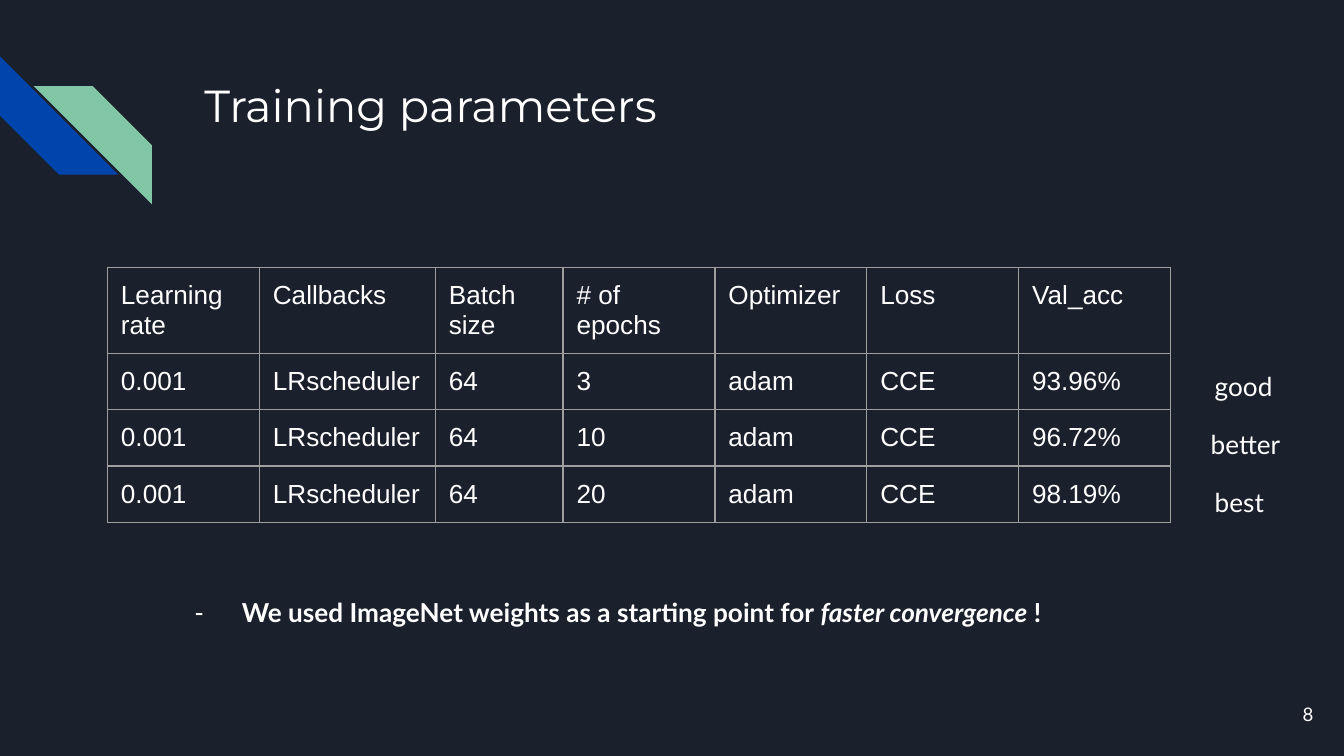
from lxml.etree import SubElement
from pptx import Presentation
from pptx.dml.color import RGBColor
from pptx.enum.shapes import MSO_SHAPE as Shape
from pptx.enum.text import MSO_ANCHOR as Anchor, PP_ALIGN as Align
from pptx.oxml.ns import qn
from pptx.util import Inches, Pt

WIDTH = 10
HEIGHT = WIDTH * 9 / 16
WHITE, NAVY, BLUE, GREEN, GREY = "FFFFFF", "1B212C", "0145AC", "82C7A5", "9E9E9E"

TITLE = "Training parameters"
HEADERS = ["Learning rate", "Callbacks", "Batch size", "# of epochs", "Optimizer", "Loss", "Val_acc"]
RUNS = [("3", "93.96%"), ("10", "96.72%"), ("20", "98.19%")]
ROWS = [HEADERS] + [["0.001", "LRscheduler", "64", epochs, "adam", "CCE", accuracy]
                    for epochs, accuracy in RUNS]
COLUMN_WIDTHS = [1.13, 1.31, 0.95] + [1.13] * 4
ROW_HEIGHTS = [0.6] + [0.42] * len(RUNS)
RATINGS = [("good", 8.94, 0.96), ("better", 8.91, 0.78), ("best", 8.94, 0.63)]
RATING_TOP, RATING_STEP = 2.66, 0.43
NOTE = [("We used ImageNet weights as a starting point for ", False),
        ("faster convergence", True), (" !", False)]
PAGE_NUMBER = "8"
STRIPES = [(0, 0.42, BLUE, 270, False), (0.25, 0.64, GREEN, 0, True)]
STRIPE_SIZE = 0.88


def color(value):
    return RGBColor.from_string(value)


def style(para, name, size):
    para.font.name = name
    para.font.size = Pt(size)
    para.font.color.rgb = color(WHITE)


def place(shape, left, top, width, height):
    shape.left, shape.top = Inches(left), Inches(top)
    shape.width, shape.height = Inches(width), Inches(height)
    frame = shape.text_frame
    frame.word_wrap = True
    frame.vertical_anchor = Anchor.TOP
    frame.margin_left = frame.margin_right = Inches(0.1)
    frame.margin_top = frame.margin_bottom = Inches(0.1)


def add_label(page, text, left, top, width, height, size=14):
    box = page.shapes.add_textbox(0, 0, 0, 0)
    place(box, left, top, width, height)
    para = box.text_frame.paragraphs[0]
    para.text = text
    style(para, "Lato", size)
    return box


def add_stripe(page, left, top, fill, rotation, flipped):
    stripe = page.shapes.add_shape(Shape.DIAGONAL_STRIPE, Inches(left), Inches(top),
                                   Inches(STRIPE_SIZE), Inches(STRIPE_SIZE))
    stripe.shadow.inherit = False
    stripe.fill.solid()
    stripe.fill.fore_color.rgb = color(fill)
    stripe.line.fill.background()
    stripe.rotation = rotation
    if flipped:
        stripe.element.spPr.xfrm.set("flipH", "1")


def set_borders(cell):
    properties = cell._tc.get_or_add_tcPr()
    for side in ("lnL", "lnR", "lnT", "lnB"):
        line = SubElement(properties, qn(f"a:{side}"), w=str(Pt(0.75)))
        fill = SubElement(line, qn("a:solidFill"))
        SubElement(fill, qn("a:srgbClr"), val=GREY)


def add_parameters(page):
    table = page.shapes.add_table(len(ROWS), len(HEADERS), Inches(0.8), Inches(1.99),
                                  Inches(sum(COLUMN_WIDTHS)), Inches(sum(ROW_HEIGHTS))).table
    table.first_row = table.horz_banding = False
    for column, width in zip(table.columns, COLUMN_WIDTHS):
        column.width = Inches(width)
    for row, height, texts in zip(table.rows, ROW_HEIGHTS, ROWS):
        row.height = Inches(height)
        for cell, text in zip(row.cells, texts):
            cell.margin_left = cell.margin_right = Inches(0.1)
            cell.margin_top = cell.margin_bottom = Inches(0.1)
            set_borders(cell)
            cell.fill.background()
            para = cell.text_frame.paragraphs[0]
            para.text = text
            style(para, "Arial", 14)


def fill_note(body):
    place(body, 1.2, 4.34, 6.97, 0.44)
    para = body.text_frame.paragraphs[0]
    properties = para._p.get_or_add_pPr()
    properties.set("marL", str(Inches(0.5)))
    properties.set("indent", str(Inches(-0.35)))
    bullet_color = SubElement(properties, qn("a:buClr"))
    SubElement(bullet_color, qn("a:srgbClr"), val=WHITE)
    SubElement(properties, qn("a:buChar"), char="-")
    para.space_before = Pt(0)
    style(para, "Lato", 14)
    para.font.bold = True
    for text, italic in NOTE:
        span = para.add_run()
        span.text = text
        span.font.italic = italic


def main():
    deck = Presentation()
    deck.slide_width, deck.slide_height = Inches(WIDTH), Inches(HEIGHT)
    page = deck.slides.add_slide(deck.slide_layouts[1])
    page.background.fill.solid()
    page.background.fill.fore_color.rgb = color(NAVY)

    for stripe in STRIPES:
        add_stripe(page, *stripe)

    title = page.shapes.title
    place(title, 1.42, 0.48, 7.7, 1)
    heading = title.text_frame.paragraphs[0]
    heading.text = TITLE
    heading.alignment = Align.LEFT
    style(heading, "Montserrat", 24)

    add_parameters(page)
    fill_note(page.placeholders[1])
    for index, (text, left, width) in enumerate(RATINGS):
        add_label(page, text, left, RATING_TOP + index * RATING_STEP, width, 0.44)

    number = add_label(page, PAGE_NUMBER, 9.27, 5.1, 0.6, 0.43, 10)
    number.text_frame.vertical_anchor = Anchor.MIDDLE
    number.text_frame.paragraphs[0].alignment = Align.RIGHT

    deck.save("out.pptx")


if __name__ == "__main__":
    main()
